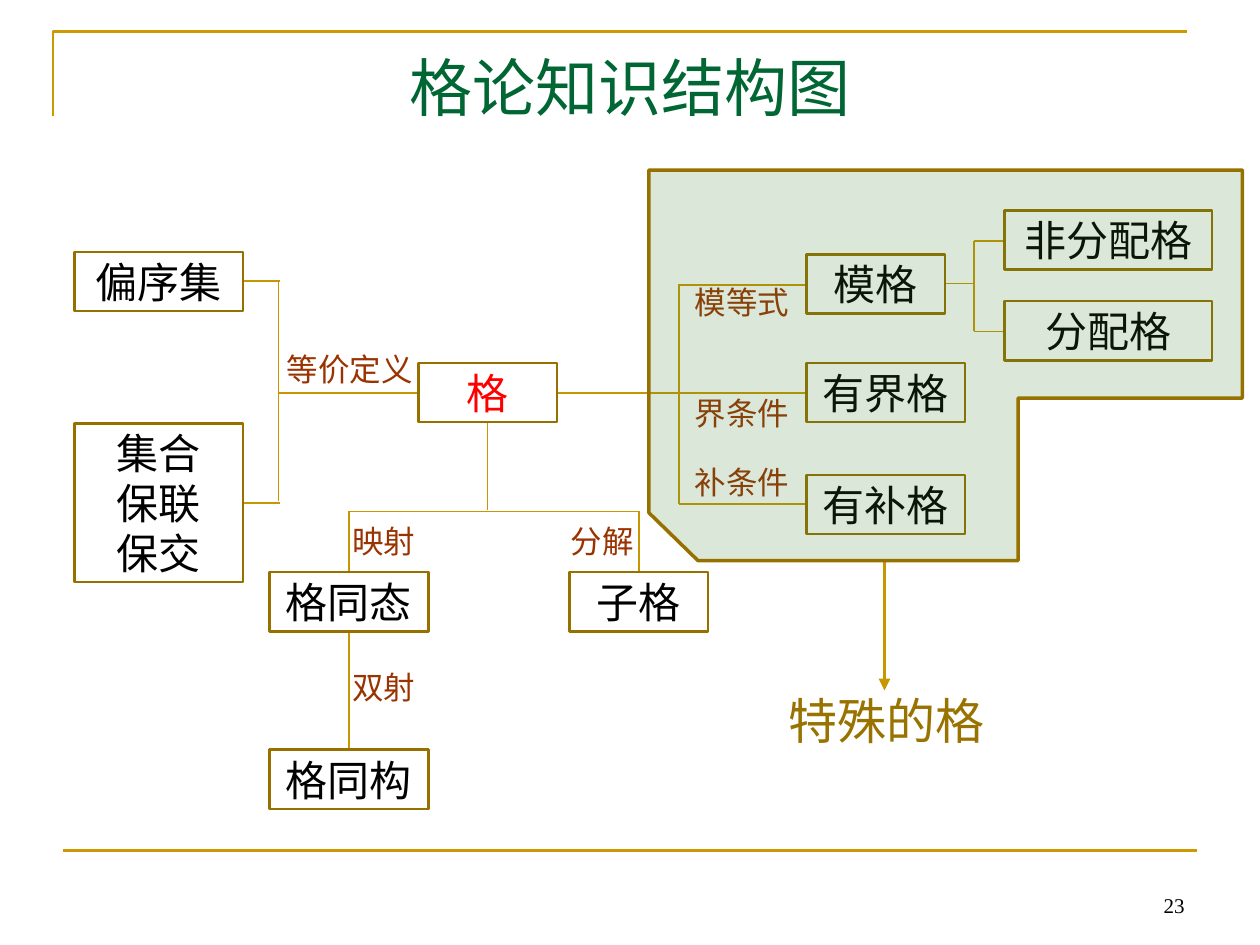
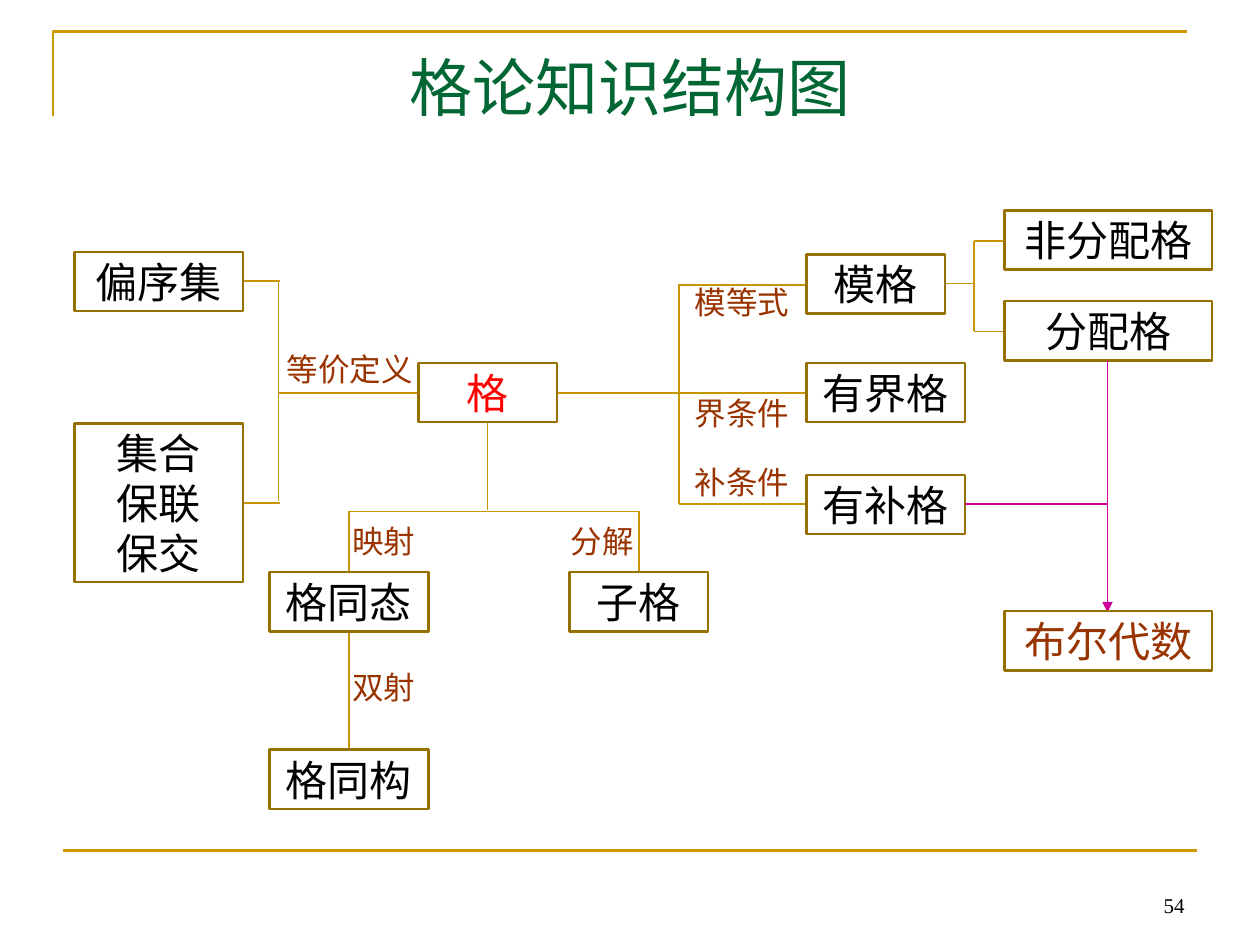
from lxml.etree import SubElement
from pptx import Presentation
from pptx.dml.color import RGBColor
from pptx.enum.shapes import MSO_CONNECTOR, MSO_SHAPE
from pptx.enum.text import MSO_ANCHOR, PP_ALIGN
from pptx.oxml.ns import qn
from pptx.util import Inches, Pt

# Grid: 100 columns by 75 rows of square cells
COLS, ROWS = 100, 75
CELL = Inches(0.1)

GOLD = RGBColor(0xCC, 0x99, 0x00)
WIRE = RGBColor(0xC8, 0x96, 0x00)
EDGE = RGBColor(0x97, 0x71, 0x00)
OCHRE = RGBColor(0x99, 0x73, 0x00)
GREEN = RGBColor(0x00, 0x66, 0x33)
LEAF = RGBColor(0x3B, 0x81, 0x2F)
RUST = RGBColor(0x99, 0x33, 0x00)
RED = RGBColor(0xFF, 0x00, 0x00)
PINK = RGBColor(0xCC, 0x00, 0x99)
BLACK = RGBColor(0x00, 0x00, 0x00)
SANS, SANS_JP, SERIF = "Noto Sans CJK SC", "Noto Sans CJK JP", "Times New Roman"
BOX_H = 4.7


def put(slide, text, left, top, wide, high=BOX_H, size=24, color=BLACK, font=SANS,
        boxed=False, align=PP_ALIGN.CENTER, anchor=MSO_ANCHOR.MIDDLE):
    """Place text on the grid, with or without a box around it."""
    area = [round(n * CELL) for n in (left, top, wide, high)]
    if boxed:
        shape = slide.shapes.add_shape(MSO_SHAPE.RECTANGLE, *area)
        shape.shadow.inherit = False
        shape.fill.background()
        shape.line.color.rgb = EDGE
        shape.line.width = Pt(1.5)
    else:
        shape = slide.shapes.add_textbox(*area)
    frame = shape.text_frame
    frame.word_wrap = True
    frame.vertical_anchor = anchor
    if align == PP_ALIGN.CENTER:
        frame.margin_left = frame.margin_right = Inches(0.05)
    lines = text.split("\n")
    for i, line in enumerate(lines):
        para = frame.paragraphs[0] if i == 0 else frame.add_paragraph()
        para.alignment = align
        if len(lines) > 1:
            para.line_spacing = Pt(1.2 * size)
        run = para.add_run()
        run.text = line
        run.font.size = Pt(size)
        run.font.color.rgb = color
        run.font.name = font
        SubElement(run.font._element, qn("a:ea"), typeface=font)


def wire(slide, x1, y1, x2, y2, color=WIRE, width=1, arrow=False):
    """Draw a straight line between two grid points."""
    ends = [round(n * CELL) for n in (x1, y1, x2, y2)]
    line = slide.shapes.add_connector(MSO_CONNECTOR.STRAIGHT, *ends)
    line.line.color.rgb = color
    line.line.width = Pt(width)
    if arrow:
        SubElement(line.line._get_or_add_ln(), qn("a:tailEnd"), type="triangle")
    SubElement(line._element.spPr, qn("a:effectLst"))


# Boxes: text, left, top, width
NODES = [
    ("分配格", 79.7, 23.9, 16.5),
    ("非分配格", 79.7, 16.7, 16.5),
    ("偏序集", 5.9, 20, 13.4),
    ("格同态", 21.4, 45.4, 12.6),
    ("子格", 45.2, 45.4, 11),
    ("格同构", 21.4, 59.5, 12.6),
    ("有补格", 64, 37.7, 12.6),
    ("有界格", 64, 28.8, 12.6),
    ("模格", 64, 20.2, 11),
]

# Labels beside the lines: text, left, top, width
LABELS = [
    ("等价定义", 21.7, 26.9, 12.1),
    ("映射", 26.5, 40.6, 7.9),
    ("分解", 43.4, 40.6, 8.8),
    ("双射", 26.1, 52.2, 8.7),
    ("模等式", 53.8, 21.6, 10.2),
    ("界条件", 53.8, 30.4, 10.2),
    ("补条件", 53.8, 35.9, 10.2),
]

# Lines: start and end points
WIRES = [
    # modular lattice to its two kinds
    (77.3, 19.1, 77.3, 26.3), (75.1, 22.5, 77.3, 22.5),
    (77.3, 26.3, 79.8, 26.3), (77.3, 19.1, 79.8, 19.1),
    # the two definitions to the lattice
    (19.3, 22.3, 22.2, 22.3), (19.3, 39.9, 22.2, 39.9),
    (22.1, 22.3, 22.1, 39.8), (22.1, 31.2, 33.2, 31.2),
    # lattice down to mappings and sublattice
    (38.7, 33.6, 38.7, 40.5), (27.6, 40.6, 50.8, 40.6),
    (50.7, 40.6, 50.7, 45.4), (27.7, 40.6, 27.7, 45.4),
    (27.7, 50.1, 27.7, 59.5),
    # lattice to the special lattices
    (44.2, 31.2, 64, 31.2), (53.9, 22.5, 53.9, 40),
    (53.9, 22.6, 64, 22.6), (53.9, 40, 64, 40),
]

deck = Presentation()
deck.slide_width = COLS * CELL
deck.slide_height = ROWS * CELL
slides = []

# Shared frame, title, number and diagram
for page in ("23", "54"):
    slide = deck.slides.add_slide(deck.slide_layouts[6])
    slides.append(slide)

    pen = slide.shapes.build_freeform(round(4.2 * CELL), round(9.2 * CELL))
    pen.add_line_segments([(round(x * CELL), round(y * CELL))
                           for x, y in ((4.2, 2.5), (94.2, 2.5))], close=False)
    rim = pen.convert_to_shape()
    rim.shadow.inherit = False
    rim.fill.background()
    rim.line.color.rgb = GOLD
    rim.line.width = Pt(1.5)
    wire(slide, 5, 67.5, 95, 67.5, GOLD, 1.5)

    put(slide, "格论知识结构图", 5, 3, 90, 7.7, 36, GREEN)
    put(slide, page, 87, 68.3, 8, 5, 12, BLACK, SERIF,
        align=PP_ALIGN.RIGHT, anchor=MSO_ANCHOR.BOTTOM)

    for ends in WIRES:
        wire(slide, *ends)
    for node in NODES:
        put(slide, *node, boxed=True)
    put(slide, "集合\n保联\n保交", 5.9, 33.6, 13.4, 12.6, boxed=True)
    put(slide, "格", 33.2, 28.8, 11, color=RED, font=SANS_JP, boxed=True)
    for label in LABELS:
        put(slide, *label, size=18, color=RUST)

first, last = slides

# First slide: tinted region of special lattices
put(first, "特殊的格", 60.1, 54.8, 20.5, size=28, color=OCHRE)
wire(first, 70.2, 44.4, 70.2, 54.8, width=2.25, arrow=True)
pen = first.shapes.build_freeform(round(51.5 * CELL), round(13.5 * CELL))
pen.add_line_segments([(round(x * CELL), round(y * CELL)) for x, y in (
    (98.6, 13.5), (98.6, 31.6), (80.8, 31.6), (80.8, 44.5), (55.4, 44.5), (51.5, 40.7))])
zone = pen.convert_to_shape()
zone.shadow.inherit = False
zone.fill.solid()
zone.fill.fore_color.rgb = LEAF
tint = zone._element.spPr.find(qn("a:solidFill"))[0]
SubElement(tint, qn("a:alpha"), val="18000")
zone.line.color.rgb = EDGE
zone.line.width = Pt(2)

# Last slide: Boolean algebra
wire(last, 76.6, 40, 87.9, 40, PINK)
wire(last, 87.9, 28.6, 87.9, 48.6, PINK, arrow=True)
put(last, "布尔代数", 79.7, 48.5, 16.5, color=RUST, font=SANS_JP, boxed=True)

deck.save("out.pptx")
